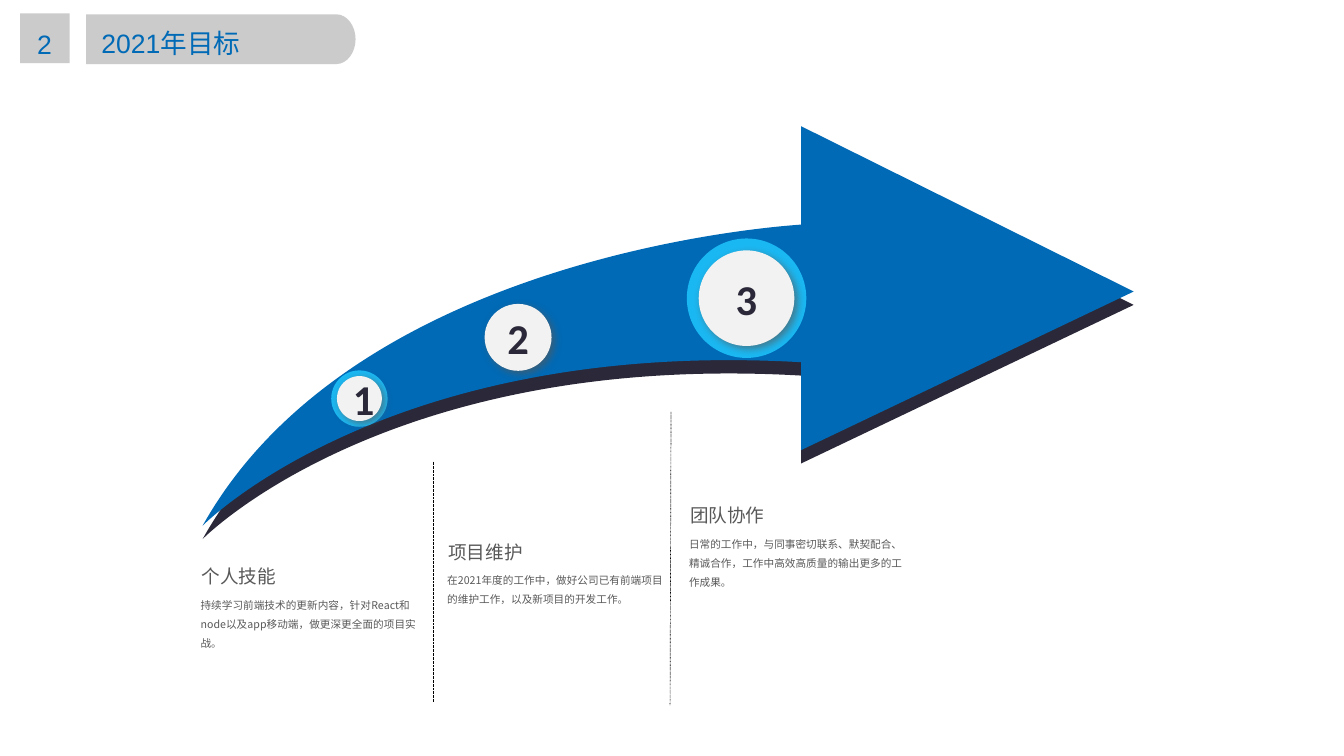
from lxml.etree import SubElement
from pptx import Presentation
from pptx.dml.color import RGBColor
from pptx.enum.dml import MSO_LINE
from pptx.enum.shapes import MSO_CONNECTOR, MSO_SHAPE
from pptx.enum.text import MSO_ANCHOR, MSO_AUTO_SIZE, PP_ALIGN
from pptx.oxml import parse_xml
from pptx.oxml.ns import nsdecls, qn
from pptx.util import Inches, Pt

BLUE, CYAN, DARK = "006AB6", "1AB8F3", "2B2939"
TAB_GRAY, TEXT_GRAY, PALE = "BFBFBF", "595959", "F2F2F2"
CJK_FONT = "Noto Sans CJK SC"

GOALS = [
    (2.0, 5.82, "个人技能",
     "持续学习前端技术的更新内容，针对React和node以及app移动端，做更深更全面的项目实战。"),
    (4.58, 5.56, "项目维护",
     "在2021年度的工作中，做好公司已有前端项目的维护工作，以及新项目的开发工作。"),
    (7.11, 5.18, "团队协作",
     "日常的工作中，与同事密切联系、默契配合、精诚合作，工作中高效高质量的输出更多的工作成果。"),
]
MILESTONES = [
    ("1", 3.76, 4.17, 0.59, 0.47, CYAN),
    ("2", 5.42, 3.53, 0.88, 0.7, BLUE),
    ("3", 7.81, 3.12, 1.25, 1.0, CYAN),
]
DIVIDERS = [(4.53, 4.83, 4.53, 7.35), (7.02, 4.31, 7.01, 7.38)]
TAB_OUTLINE = [
    [(0.9, 0.67)], [(0.9, 0.15)], [(3.52, 0.15)],
    [(3.63, 0.15), (3.72, 0.27), (3.72, 0.41)],
    [(3.72, 0.55), (3.63, 0.67), (3.52, 0.67)],
]
ARROW_OUTLINE = [
    [(11.86, 3.05)], [(8.38, 1.32)], [(8.38, 2.35)],
    [(7.94, 2.38), (3.67, 2.73), (2.12, 5.5)],
    [(2.12, 5.5), (4.04, 3.54), (8.38, 3.79)],
    [(8.38, 4.71)],
]


def rgb(color):
    return RGBColor.from_string(color)


def paint(shape, color, opacity=100):
    shape.shadow.inherit = False
    shape.fill.solid()
    shape.fill.fore_color.rgb = rgb(color)
    shape.line.fill.background()
    if opacity < 100:
        solid = shape.fill._xPr.find(qn("a:solidFill"))
        SubElement(solid[0], qn("a:alpha"), val=str(opacity * 1000))


def write(shape, text, size, color, font, spacing=1.0, align=PP_ALIGN.LEFT, bold=False):
    shape.text_frame.text = text
    paragraph = shape.text_frame.paragraphs[0]
    paragraph.alignment = align
    paragraph.line_spacing = spacing
    for run in paragraph.runs:
        run.font.size = Pt(size)
        run.font.name = font
        run.font.bold = bold
        run.font.color.rgb = rgb(color)
        SubElement(run.font._element, qn("a:ea"), typeface=font)


def set_frame(shape, side, top):
    frame = shape.text_frame
    frame.word_wrap = True
    frame.auto_size = MSO_AUTO_SIZE.NONE
    frame.vertical_anchor = MSO_ANCHOR.TOP
    frame.margin_left = frame.margin_right = Inches(side)
    frame.margin_top = frame.margin_bottom = Inches(top)


def add_label(slide, left, top, width, height, side, inset=0.05):
    label = slide.shapes.add_textbox(
        Inches(left), Inches(top), Inches(width), Inches(height))
    set_frame(label, side, inset)
    return label


def add_outline(slide, segments, color, opacity=100, drop=0):
    start, *rest = [(Inches(x), Inches(y + drop)) for segment in segments for x, y in segment]
    builder = slide.shapes.build_freeform(*start)
    builder.add_line_segments(rest, close=True)
    outline = builder.convert_to_shape()
    steps = iter(list(outline._element.iter(qn("a:lnTo"))))
    for segment in segments[1:]:
        first, *others = [next(steps) for _ in segment]
        if others:
            first.tag = qn("a:cubicBezTo")
            for step in others:
                first.append(step[0])
                step.getparent().remove(step)
    paint(outline, color, opacity)


def add_disc(slide, center_x, center_y, size, color):
    disc = slide.shapes.add_shape(
        MSO_SHAPE.ROUNDED_RECTANGLE, Inches(center_x - size / 2),
        Inches(center_y - size / 2), Inches(size), Inches(size))
    disc.adjustments[0] = 0.5
    paint(disc, color)
    return disc


def cast_shadow(shape):
    effects = shape._element.spPr.find(qn("a:effectLst"))
    effects.append(parse_xml(
        f'<a:outerShdw {nsdecls("a")} blurRad="{Pt(6)}" dist="{Pt(3)}" dir="2700000" '
        f'algn="tl" rotWithShape="0"><a:srgbClr val="{TEXT_GRAY}">'
        '<a:alpha val="64000"/></a:srgbClr></a:outerShdw>'))


def add_milestone(slide, number, center_x, center_y, outer, inner, ring_color):
    add_disc(slide, center_x, center_y, outer, ring_color)
    disc = add_disc(slide, center_x, center_y, inner, PALE)
    cast_shadow(disc)
    disc.text_frame.vertical_anchor = MSO_ANCHOR.MIDDLE
    write(disc, number, 32, DARK, "Calibri", align=PP_ALIGN.CENTER, bold=True)


def add_divider(slide, *ends):
    divider = slide.shapes.add_connector(
        MSO_CONNECTOR.STRAIGHT, *[Inches(value) for value in ends])
    divider.line.color.rgb = rgb("000000")
    divider.line.width = Pt(0.5)
    divider.line.dash_style = MSO_LINE.ROUND_DOT
    SubElement(divider._element.spPr, qn("a:effectLst"))


def add_goal(slide, left, top, heading, details):
    body = add_label(slide, left, top + 0.33, 2.52, 0.7, 0.1)
    write(body, details, 8, TEXT_GRAY, CJK_FONT, 1.5)
    caption = add_label(slide, left, top, 2.52, 0.36, 0.11)
    write(caption, heading, 14, TEXT_GRAY, "Arial", 1.2)


def add_header(slide):
    add_outline(slide, TAB_OUTLINE, TAB_GRAY, 80)
    number_tile = slide.shapes.add_shape(
        MSO_SHAPE.RECTANGLE, Inches(0.21), Inches(0.14), Inches(0.52), Inches(0.52))
    paint(number_tile, TAB_GRAY, 80)

    title = slide.shapes.title
    title.left, title.top = Inches(0.99), Inches(0.18)
    title.width, title.height = Inches(3.11), Inches(0.44)
    set_frame(title, 0.07, 0.04)
    write(title, "2021年目标", 20, BLUE, "Arial", 1.2)
    slide.shapes._spTree.append(title._element)

    section_number = add_label(slide, 0.23, 0.19, 0.47, 0.44, 0.07, 0.04)
    write(section_number, "2", 20, BLUE, "Arial", 1.2, PP_ALIGN.CENTER)


def main():
    presentation = Presentation()
    presentation.slide_width = Inches(14.06)
    presentation.slide_height = Inches(7.91)
    slide = presentation.slides.add_slide(presentation.slide_layouts[5])

    add_header(slide)
    add_outline(slide, ARROW_OUTLINE, DARK, drop=0.14)
    add_outline(slide, ARROW_OUTLINE, BLUE)
    for divider in DIVIDERS:
        add_divider(slide, *divider)
    for milestone in MILESTONES:
        add_milestone(slide, *milestone)
    for goal in GOALS:
        add_goal(slide, *goal)

    presentation.save("out.pptx")


main()
